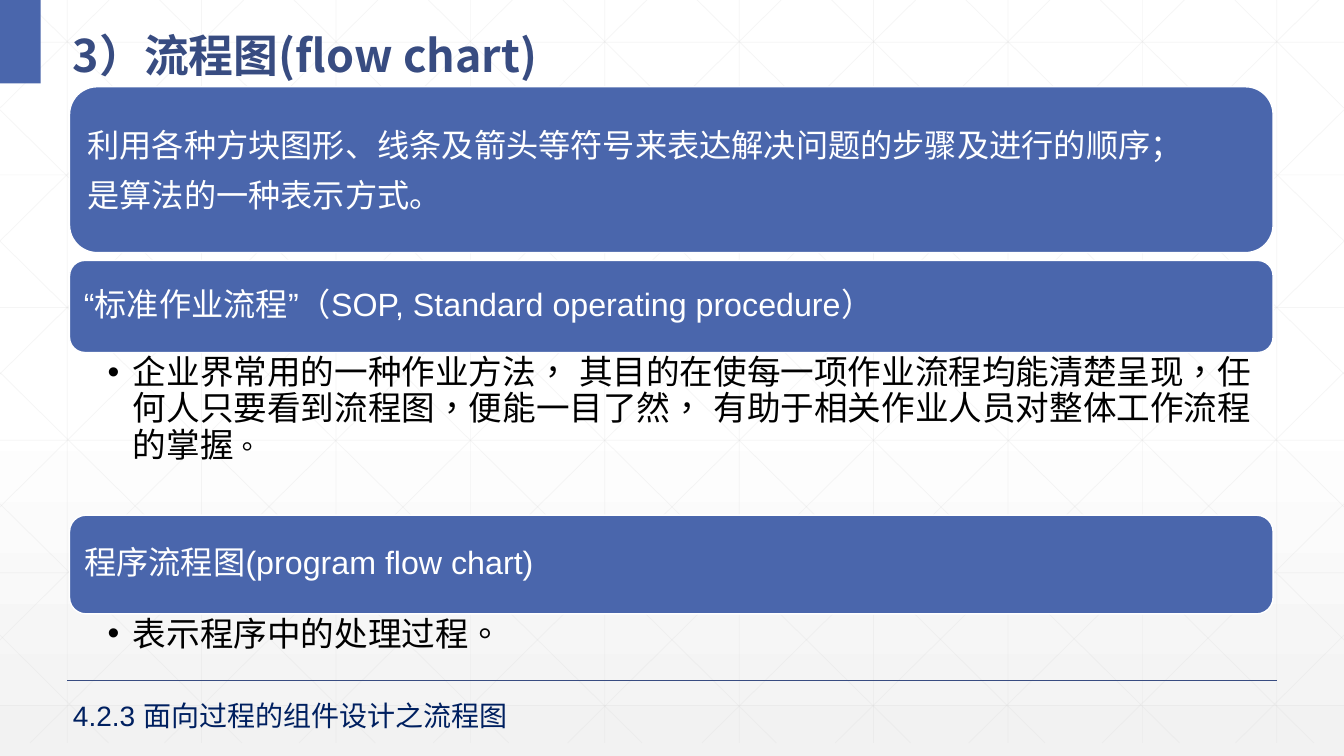
"""Build the flow chart slide with its banners, bullets and line-pattern backdrop."""
from lxml.etree import SubElement
from pptx import Presentation
from pptx.dml.color import RGBColor
from pptx.enum.lang import MSO_LANGUAGE_ID
from pptx.enum.shapes import MSO_CONNECTOR, MSO_SHAPE
from pptx.enum.text import MSO_ANCHOR, PP_ALIGN
from pptx.oxml import parse_xml
from pptx.oxml.ns import nsdecls, qn
from pptx.util import Pt

COLORS = {
    "blue": "4A66AC",
    "dark_blue": "384C81",
    "navy": "002060",
    "white": "FFFFFF",
    "black": "000000",
    "pattern": "D9D9D9",
    "shade": "F2F2F2",
}
WIDTH, HEIGHT = 960, 540
PATTERN_BOTTOM = 530.6
DIAGONAL_SLOPE = 1.011
BANNER_LEFT, BANNER_WIDTH = 49.7, 859.7


def color(name):
    return RGBColor.from_string(COLORS[name])


def set_background(slide):
    stops = [(0, "white"), (53, "white"), (100, "shade")]
    stop_xml = "".join(
        f'<a:gs pos="{position * 1000}"><a:srgbClr val="{COLORS[name]}"/></a:gs>'
        for position, name in stops
    )
    background = parse_xml(
        f'<p:bg {nsdecls("p", "a")}><p:bgPr><a:gradFill rotWithShape="1">'
        f'<a:gsLst>{stop_xml}</a:gsLst><a:lin ang="5400000" scaled="0"/>'
        "</a:gradFill><a:effectLst/></p:bgPr></p:bg>"
    )
    slide.element.cSld.insert(0, background)


def add_line(slide, start, end, name, width, opacity=100):
    line = slide.shapes.add_connector(
        MSO_CONNECTOR.STRAIGHT, *(Pt(value) for value in (*start, *end))
    )
    line.line.color.rgb = color(name)
    line.line.width = Pt(width)
    properties = line.element.spPr
    SubElement(properties, qn("a:effectLst"))
    if opacity < 100:
        rgb = properties.find(".//" + qn("a:srgbClr"))
        SubElement(rgb, qn("a:alpha"), val=str(opacity * 1000))


def add_pattern(slide):
    def draw(start, end):
        add_line(slide, start, end, "pattern", 0.5, opacity=25)

    def draw_mirrored(start, end):
        draw(start, end)
        draw((WIDTH - start[0], start[1]), (WIDTH - end[0], end[1]))

    for column in range(10):
        x = 48 + 96 * column
        draw((x, 0), (x, PATTERN_BOTTOM))
        top = 18 + 96 * column
        end_x = min(WIDTH, top + PATTERN_BOTTOM * DIAGONAL_SLOPE)
        draw_mirrored((top, 0), (end_x, (end_x - top) / DIAGONAL_SLOPE))
    for row in range(6):
        y = 30.2 + 94.75 * row
        draw((0, y), (WIDTH, y))
    for row in range(5):
        draw_mirrored((0, 78.5 + 93.8 * row), (458.6 - 95.3 * row, PATTERN_BOTTOM))


def add_block(slide, preset, left, top, width, height):
    shape = slide.shapes.add_shape(preset, Pt(left), Pt(top), Pt(width), Pt(height))
    shape.shadow.inherit = False
    shape.fill.solid()
    shape.fill.fore_color.rgb = color("blue")
    shape.line.fill.background()
    return shape


def add_text_box(slide, left, top, width, height):
    box = slide.shapes.add_textbox(Pt(left), Pt(top), Pt(width), Pt(height))
    box.text_frame.word_wrap = True
    return box.text_frame


def format_run(run, size, name, typeface="Arial", bold=False, language="SIMPLIFIED_CHINESE"):
    font = run.font
    font.size, font.bold, font.name = Pt(size), bold, typeface
    font.color.rgb = color(name)
    font.language_id = MSO_LANGUAGE_ID[language]
    SubElement(font._element, qn("a:ea"), typeface=typeface)


def add_label(slide, frame_box, text, size, name, typeface="Arial", bold=False):
    text_frame = add_text_box(slide, *frame_box)
    paragraph = text_frame.paragraphs[0]
    paragraph.text = text
    format_run(paragraph.runs[0], size, name, typeface, bold)
    return text_frame


def add_banner(slide, top, height, lines, line_spacing=None):
    shape = add_block(
        slide, MSO_SHAPE.ROUNDED_RECTANGLE, BANNER_LEFT, top, BANNER_WIDTH, height
    )
    shape.line.color.rgb = color("white")
    shape.line.width = Pt(1)
    text_frame = shape.text_frame
    text_frame.word_wrap = True
    text_frame.vertical_anchor = MSO_ANCHOR.MIDDLE
    text_frame.margin_left = text_frame.margin_right = Pt(7.2)
    text_frame.margin_top = text_frame.margin_bottom = Pt(7.2)
    text_frame.text = "\n".join(lines)
    for paragraph in text_frame.paragraphs:
        paragraph.alignment = PP_ALIGN.LEFT
        paragraph.line_spacing = line_spacing
        paragraph.space_after = Pt(8)
        format_run(paragraph.runs[0], 23, "white")


def add_bullet(slide, top, height, pieces):
    text_frame = add_text_box(slide, BANNER_LEFT, top, BANNER_WIDTH, height)
    text_frame.margin_left, text_frame.margin_right = Pt(27.3), Pt(13.7)
    text_frame.margin_top = text_frame.margin_bottom = Pt(2.2)
    paragraph = text_frame.paragraphs[0]
    paragraph.line_spacing = 0.9
    paragraph.space_after = Pt(5)
    properties = paragraph._p.get_or_add_pPr()
    properties.set("marL", str(Pt(18)))
    properties.set("indent", str(-Pt(18)))
    SubElement(properties, qn("a:buFont"), typeface="Arial")
    SubElement(properties, qn("a:buChar"), char="•")
    for text, size in pieces:
        run = paragraph.add_run()
        run.text = text
        format_run(run, size, "black", language="TRADITIONAL_CHINESE")


def main():
    presentation = Presentation()
    presentation.slide_width, presentation.slide_height = Pt(WIDTH), Pt(HEIGHT)
    slide = presentation.slides.add_slide(presentation.slide_layouts[6])
    set_background(slide)
    add_pattern(slide)
    add_line(slide, (48, 486), (912, 486), "dark_blue", 1)
    add_block(slide, MSO_SHAPE.RECTANGLE, 0, 0, 29, 59.5)

    title = add_label(
        slide, (45, 7.2, 894, 52.6), "3）流程图(flow chart)", 32, "dark_blue",
        "Noto Sans CJK SC", bold=True,
    )
    title.vertical_anchor = MSO_ANCHOR.MIDDLE
    title.paragraphs[0].line_spacing = 1.3

    add_banner(slide, 62, 118.5, [
        "利用各种方块图形、线条及箭头等符号来表达解决问题的步骤及进行的顺序；",
        "是算法的一种表示方式。",
    ])
    add_banner(
        slide, 186, 65.8, ["“标准作业流程”（SOP, Standard operating procedure）"], 0.9
    )
    add_bullet(slide, 251.8, 116, [
        ("企业界常用的一种作业方法， 其目的在使每一项作业流程均能清楚呈现，"
         "任何人只要看到流程图，便能一目了然， 有助于相关作业人员对整体工作流程的掌握", 24),
        ("。", 20),
    ])
    add_banner(slide, 368, 70.5, ["程序流程图(program flow chart)"], 0.9)
    add_bullet(slide, 438.5, 42.5, [("表示程序中的处理过程。", 24)])
    add_label(
        slide, (45, 495.4, 337.7, 31.7), "4.2.3 面向过程的组件设计之流程图", 20, "navy"
    )
    presentation.save("out.pptx")


if __name__ == "__main__":
    main()
